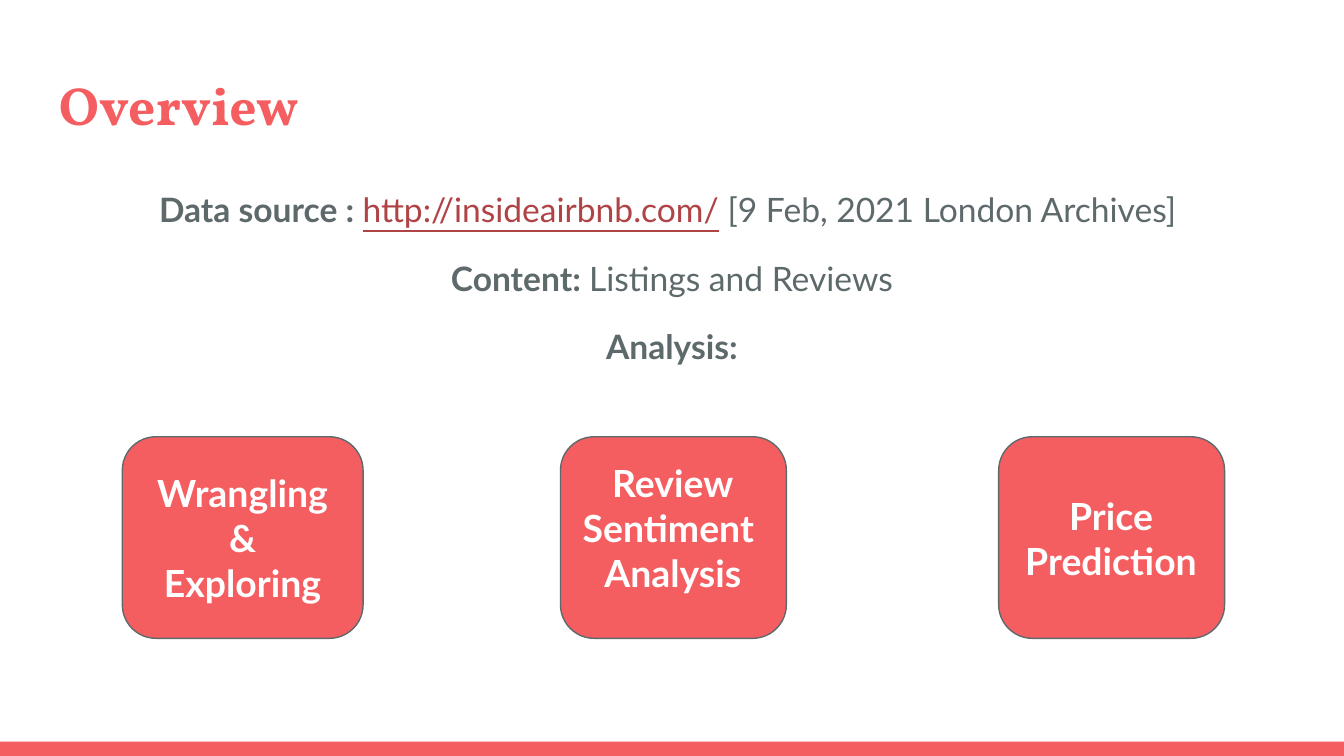
from typing import NamedTuple

from pptx import Presentation
from pptx.dml.color import RGBColor
from pptx.enum.shapes import MSO_SHAPE as Shape
from pptx.enum.text import MSO_ANCHOR as Anchor, PP_ALIGN as Align
from pptx.util import Pt

CORAL = RGBColor(0xF5, 0x5E, 0x61)
SLATE = RGBColor(0x5E, 0x69, 0x6C)
LINK_RED = RGBColor(0xAF, 0x43, 0x45)
WHITE = RGBColor(0xFF, 0xFF, 0xFF)

INSET = 7.2
CARD_LEFT, CARD_PITCH = 65.5, 234.75
CARD_TOP, CARD_HEIGHT = 234, 108
LABEL_WIDTH = 113


class Span(NamedTuple):
    text: str
    bold: bool = False
    color: RGBColor = SLATE
    underline: bool = False


class Card(NamedTuple):
    lines: list[str]
    width: float
    label_dx: float
    label_top: float
    label_height: float


FACTS = [
    [
        Span("Data source : ", bold=True),
        Span("http://insideairbnb.com/", color=LINK_RED, underline=True),
        Span(" [9 Feb, 2021 London Archives] "),
    ],
    [Span("Content: ", bold=True), Span("Listings and Reviews")],
    [Span("Analysis:", bold=True)],
]
CARDS = [
    Card(["Wrangling", "&", "Exploring"], 129, 8, 244.75, 87),
    Card(["Review", "Sentiment ", "Analysis"], 121, 3.75, 239.25, 87),
    Card(["Price", "Prediction"], 121, 3.75, 257, 63),
]


def add_text_box(page, left: float, top: float, width: float, height: float):
    box = page.shapes.add_textbox(Pt(left), Pt(top), Pt(width), Pt(height))
    frame = box.text_frame
    frame.word_wrap = True
    frame.vertical_anchor = Anchor.TOP
    frame.margin_left = frame.margin_right = Pt(INSET)
    frame.margin_top = frame.margin_bottom = Pt(INSET)
    return frame


def next_para(frame, index: int):
    return frame.add_paragraph() if index else frame.paragraphs[0]


def set_font(para, name: str, size: float, color: RGBColor, bold: bool = True) -> None:
    font = para.font
    font.name, font.size, font.bold = name, Pt(size), bold
    font.color.rgb = color


def add_facts(page, facts: list[list[Span]]) -> None:
    frame = add_text_box(page, 24.5, 90.75, 671, 269)
    for index, spans in enumerate(facts):
        para = next_para(frame, index)
        para.alignment = Align.CENTER
        para.line_spacing = 1.15
        if index:
            para.space_before = Pt(12)
        set_font(para, "Lato", 18, SLATE, bold=False)
        for span in spans:
            run = para.add_run()
            run.text = span.text
            run.font.bold = span.bold
            run.font.underline = span.underline
            run.font.color.rgb = span.color


def add_card(page, card: Card, left: float) -> None:
    shape = page.shapes.add_shape(
        Shape.FLOWCHART_ALTERNATE_PROCESS,
        Pt(left), Pt(CARD_TOP), Pt(card.width), Pt(CARD_HEIGHT),
    )
    shape.shadow.inherit = False
    shape.fill.solid()
    shape.fill.fore_color.rgb = CORAL
    shape.line.color.rgb = SLATE
    shape.line.width = Pt(0.75)

    frame = add_text_box(
        page, left + card.label_dx, card.label_top, LABEL_WIDTH, card.label_height
    )
    for index, line in enumerate(card.lines):
        para = next_para(frame, index)
        para.text = line
        para.alignment = Align.CENTER
        set_font(para, "Lato", 20, WHITE)


def main() -> None:
    deck = Presentation()
    deck.slide_width, deck.slide_height = Pt(720), Pt(405)
    page = deck.slides.add_slide(deck.slide_layouts[6])

    # Bottom band
    band = page.shapes.add_shape(Shape.RECTANGLE, Pt(0), Pt(397.25), Pt(720), Pt(7.75))
    band.shadow.inherit = False
    band.fill.solid()
    band.fill.fore_color.rgb = CORAL
    band.line.fill.background()

    # Title
    title = add_text_box(page, 24.5, 31, 671, 49).paragraphs[0]
    title.text = "Overview"
    set_font(title, "Vollkorn", 28.8, CORAL)

    # Data source, content and analysis heading
    add_facts(page, FACTS)

    # Analysis steps
    for index, card in enumerate(CARDS):
        add_card(page, card, CARD_LEFT + index * CARD_PITCH)

    deck.save("out.pptx")


if __name__ == "__main__":
    main()
